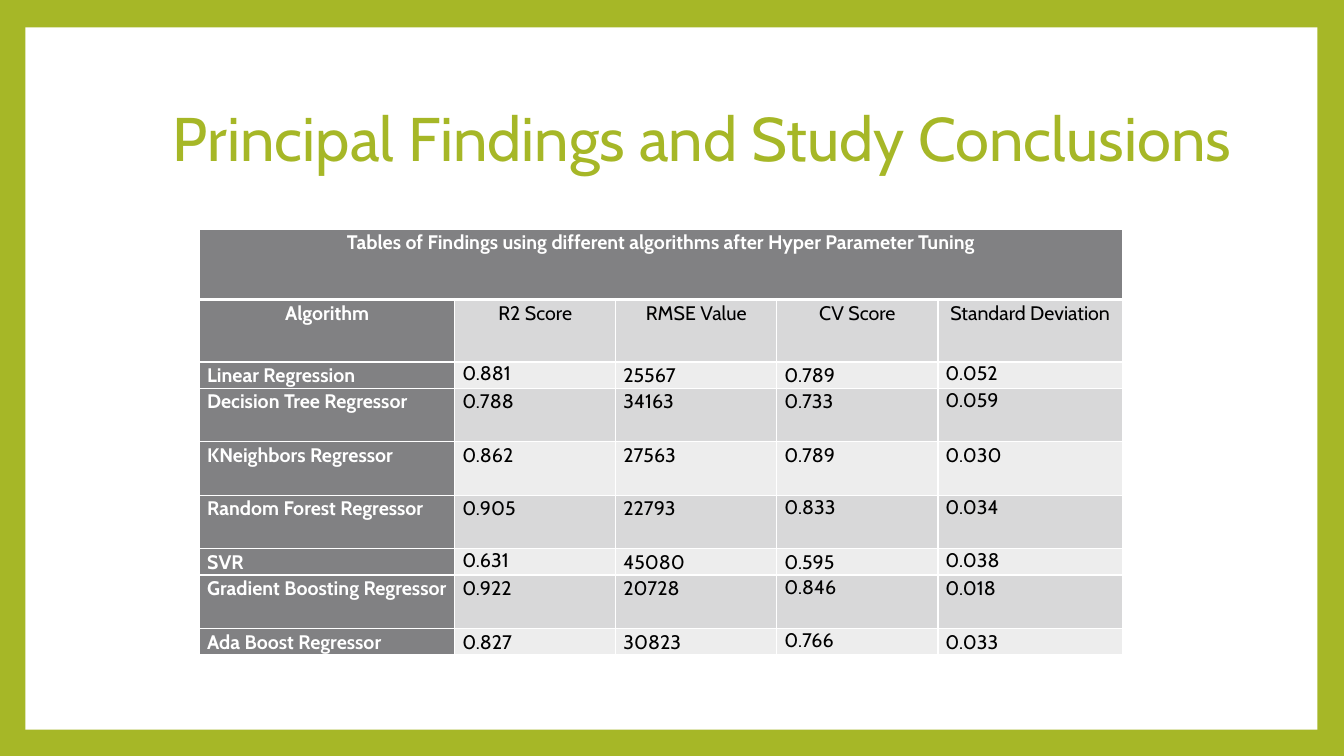
"""Build the slide that tabulates the tuned regression results."""
import pptx
import pptx.dml.color
import pptx.enum.shapes
import pptx.enum.text
import pptx.oxml
import pptx.oxml.ns
import pptx.util

Cm, Pt = pptx.util.Cm, pptx.util.Pt
PP_ALIGN = pptx.enum.text.PP_ALIGN

TITLE = "Principal Findings and Study Conclusions"
CAPTION = "Tables of Findings using different algorithms after Hyper Parameter Tuning"
HEADINGS = ("Algorithm", "R2 Score", "RMSE Value", "CV Score", "Standard Deviation")
RESULTS = [
    ("Linear Regression", "0.881", "25567", "0.789", "0.052"),
    ("Decision Tree Regressor", "0.788", "34163", "0.733", "0.059"),
    ("KNeighbors Regressor", "0.862", "27563", "0.789", "0.030"),
    ("Random Forest Regressor", "0.905", "22793", "0.833", "0.034"),
    ("SVR", "0.631", "45080", "0.595", "0.038"),
    ("Gradient Boosting Regressor", "0.922", "20728", "0.846", "0.018"),
    ("Ada Boost Regressor", "0.827", "30823", "0.766", "0.033"),
]
SINGLE_SPACED = {"0.881", "0.052", "0.059", "0.833", "0.034",
                 "0.631", "0.038", "0.846", "0.766"}
COLUMN_WIDTHS = (6.43, 4.06, 4.06, 4.06, 4.65)
ROW_HEIGHTS = (1.78, 1.57, 0.66, 1.35, 1.35, 1.35, 0.66, 1.35, 0.66)
COLORS = {"green": "A6B727", "white": "FFFFFF", "black": "000000",
          "header": "818183", "band": "D8D8D9", "light": "EDEDED"}
FONT = "Cabin"


def rgb(name):
    """Return the named colour."""
    return pptx.dml.color.RGBColor.from_string(COLORS[name])


def add_run(paragraph, text, size, color, bold=False):
    """Add one formatted run to a paragraph."""
    run = paragraph.add_run()
    run.text = text
    run.font.name = FONT
    run.font.size = Pt(size)
    run.font.bold = bold
    run.font.color.rgb = rgb(color)


def add_borders(cell, top, bottom):
    """Draw white borders, with the top and bottom widths in points."""
    for side, width in (("L", 1), ("R", 1), ("T", top), ("B", bottom)):
        cell._tc.get_or_add_tcPr().append(pptx.oxml.parse_xml(
            f'<a:ln{side} {pptx.oxml.ns.nsdecls("a")} w="{Pt(width)}">'
            f'<a:solidFill><a:srgbClr val="{COLORS["white"]}"/></a:solidFill>'
            f'</a:ln{side}>'))


def add_title(slide):
    """Add the slide title."""
    title = slide.shapes.add_textbox(Cm(4.11), Cm(1.9), Cm(27.84), Cm(3.33))
    frame = title.text_frame
    frame.word_wrap = True
    frame.vertical_anchor = pptx.enum.text.MSO_ANCHOR.MIDDLE
    frame.paragraphs[0].line_spacing = 0.9
    add_run(frame.paragraphs[0], TITLE, 44, "green")


def add_findings(slide):
    """Add the table of findings."""
    rows = [(CAPTION, "", "", "", ""), HEADINGS, *RESULTS]
    findings = slide.shapes.add_table(
        len(rows), len(HEADINGS), Cm(5.03), Cm(5.77),
        Cm(sum(COLUMN_WIDTHS)), Cm(sum(ROW_HEIGHTS))).table
    findings.first_row = findings.horz_banding = False
    for column, width in zip(findings.columns, COLUMN_WIDTHS):
        column.width = Cm(width)
    for row, height in zip(findings.rows, ROW_HEIGHTS):
        row.height = Cm(height)
    findings.cell(0, 0).merge(findings.cell(0, len(HEADINGS) - 1))

    for r, values in enumerate(rows):
        for c, value in enumerate(values):
            cell = findings.cell(r, c)
            is_header = r == 0 or c == 0
            add_borders(cell, 3 if r == 1 else 1, 3 if r == 0 else 1)
            cell.fill.solid()
            cell.fill.fore_color.rgb = rgb(
                "header" if is_header else "band" if r % 2 else "light")
            cell.margin_left = cell.margin_right = Cm(0.19)
            cell.margin_top = cell.margin_bottom = 0
            if value:
                paragraph = cell.text_frame.paragraphs[0]
                paragraph.alignment = PP_ALIGN.CENTER if r < 2 else PP_ALIGN.LEFT
                paragraph.line_spacing = 1.0 if value in SINGLE_SPACED else 1.07
                add_run(paragraph, value, 14,
                        "white" if is_header else "black", is_header)


def main():
    """Create and save the presentation."""
    deck = pptx.Presentation()
    deck.slide_width, deck.slide_height = Cm(33.87), Cm(19.05)
    slide = deck.slides.add_slide(deck.slide_layouts[6])
    slide.background.fill.solid()
    slide.background.fill.fore_color.rgb = rgb("green")
    panel = slide.shapes.add_shape(
        pptx.enum.shapes.MSO_SHAPE.RECTANGLE, Cm(0.64), Cm(0.69), Cm(32.56), Cm(17.7))
    panel.shadow.inherit = False
    panel.fill.solid()
    panel.fill.fore_color.rgb = rgb("white")
    panel.line.fill.background()
    add_title(slide)
    add_findings(slide)
    deck.save("out.pptx")


if __name__ == "__main__":
    main()
